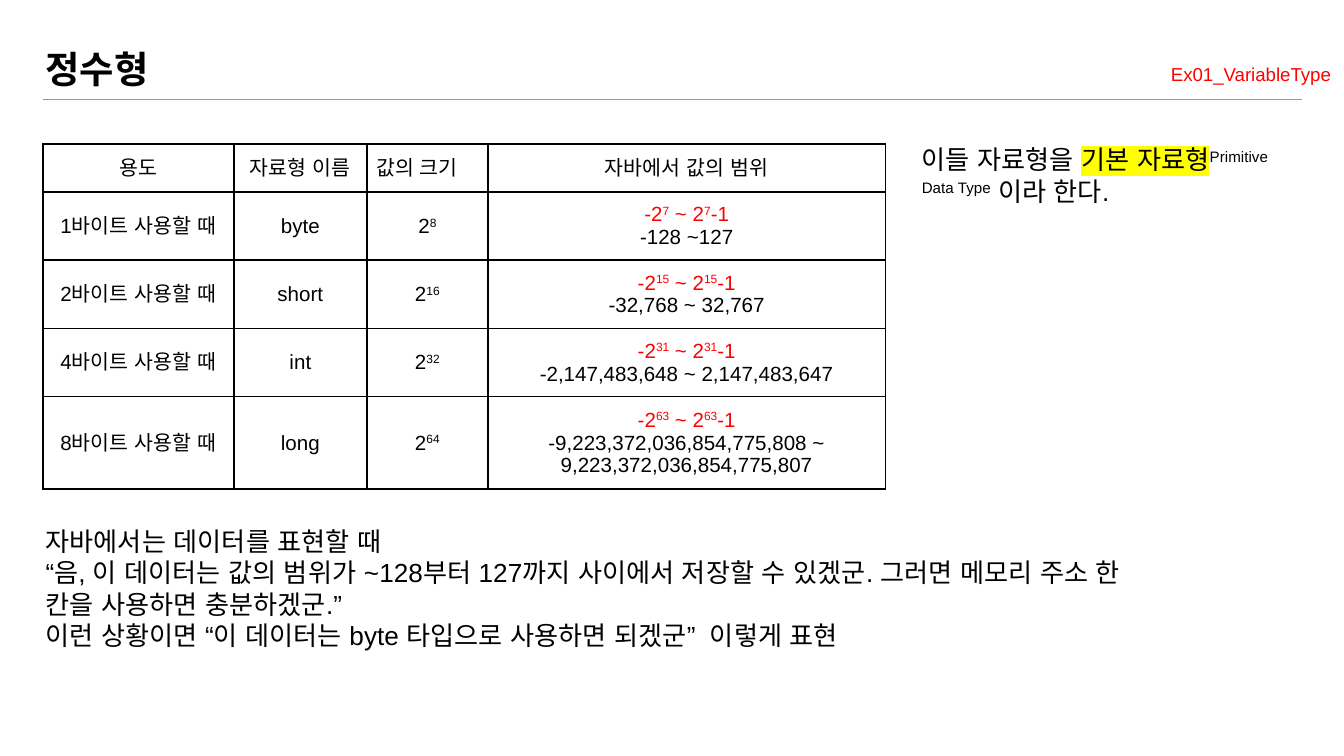
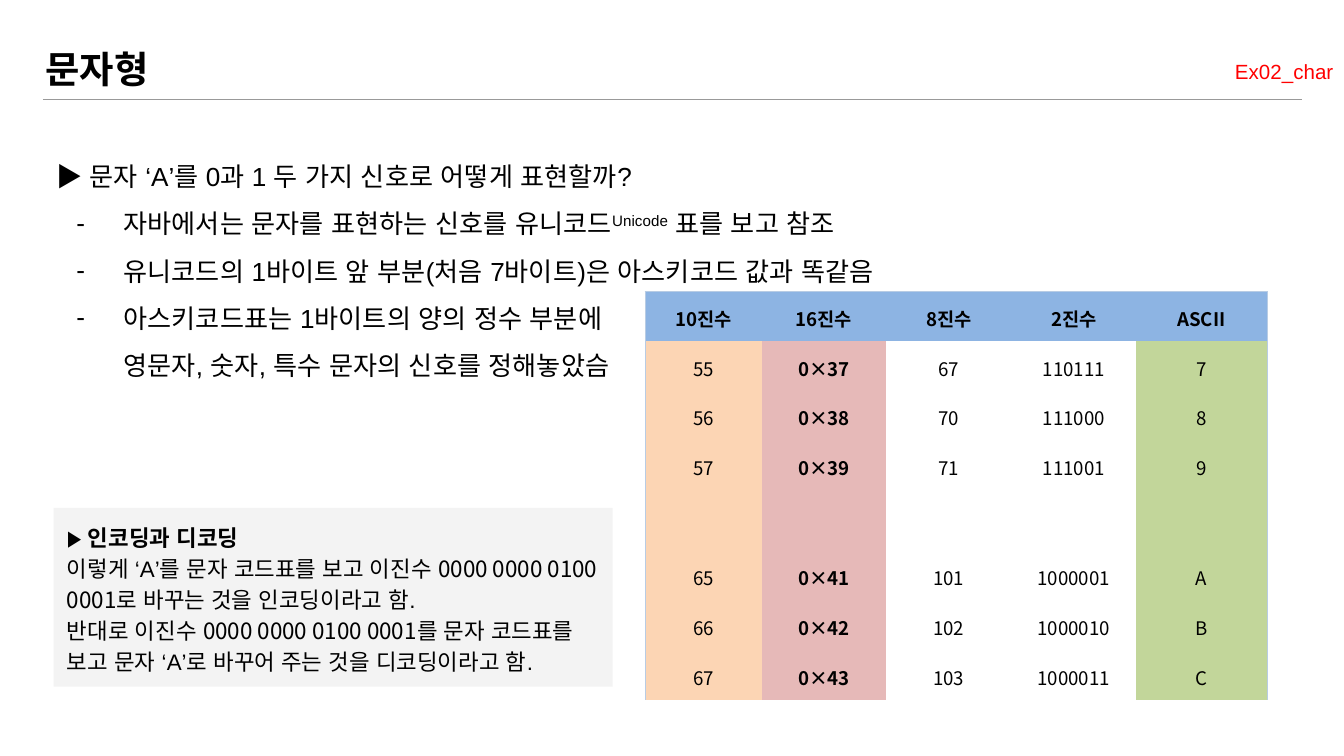
from dataclasses import dataclass, field
from typing import NamedTuple

from lxml.etree import SubElement
from pptx import Presentation
from pptx.dml.color import RGBColor
from pptx.enum.shapes import MSO_CONNECTOR as Conn, MSO_SHAPE as Shape
from pptx.enum.text import MSO_ANCHOR as Anchor, PP_ALIGN as Align
from pptx.oxml.ns import qn
from pptx.util import Inches, Pt

BLACK = RGBColor(0x00, 0x00, 0x00)
WHITE = RGBColor(0xFF, 0xFF, 0xFF)
RED = RGBColor(0xFF, 0x00, 0x00)
YELLOW = RGBColor(0xFF, 0xFF, 0x00)
RULE_GRAY = RGBColor(0x99, 0x99, 0x99)
PANEL_GRAY = RGBColor(0xF3, 0xF3, 0xF3)
HEADER_BLUE = RGBColor(0x8D, 0xB4, 0xE3)
BORDER_BLUE = RGBColor(0xB8, 0xCC, 0xE4)
PEACH = RGBColor(0xFC, 0xD5, 0xB4)
PINK = RGBColor(0xE6, 0xB9, 0xB8)
GREEN = RGBColor(0xC2, 0xD6, 0x9A)
SANS = "Arial"
KOREAN = "Noto Sans CJK KR"
TABLE_FRAME = Inches(3.28)


class Box(NamedTuple):
    left: float
    top: float
    width: float
    height: float

    def emu(self):
        return [Inches(v) for v in self]


class Run(NamedTuple):
    text: str
    font: str | None = None
    bold: bool = False
    sup: bool = False
    highlight: RGBColor | None = None


@dataclass
class Para:
    runs: list[Run]
    color: RGBColor = BLACK
    margin: float = 0
    hanging: float = 0
    bullet: str = ""


@dataclass
class Cell:
    paras: list[Para]
    align: Align = Align.CENTER
    anchor: Anchor = Anchor.TOP
    fill: RGBColor | None = None
    borders: dict[str, tuple[RGBColor, float, bool]] = field(default_factory=dict)


def para(*runs: str | Run, **kwargs) -> Para:
    return Para([Run(r) if isinstance(r, str) else r for r in runs], **kwargs)


def sup(text: str) -> Run:
    return Run(text, sup=True)


def color_fill(parent, color: RGBColor, visible: bool = True) -> None:
    clr = SubElement(SubElement(parent, qn("a:solidFill")), qn("a:srgbClr"), val=str(color))
    if not visible:
        SubElement(clr, qn("a:alpha"), val="0")


def add_run(p, run: Run, size: float, font: str, color: RGBColor) -> None:
    r = p.add_run()
    r.text = run.text
    r.font.size = Pt(size)
    r.font.bold = run.bold
    r.font.color.rgb = color
    r.font.name = run.font or font
    rpr = r.font._element
    rpr.set("lang", "ko")
    SubElement(rpr, qn("a:ea"), typeface=run.font or font)
    if run.sup:
        rpr.set("baseline", "30000")
    if run.highlight is not None:
        mark = SubElement(rpr, qn("a:highlight"))
        SubElement(mark, qn("a:srgbClr"), val=str(run.highlight))
        rpr.find(qn("a:solidFill")).addnext(mark)


def write_text(tf, paras: list[Para], *, size: float, font: str = SANS,
               align: Align = Align.LEFT, spacing: float = 1.0) -> None:
    for i, para_ in enumerate(paras):
        p = tf.add_paragraph() if i else tf.paragraphs[0]
        p.alignment = align
        p.line_spacing = spacing
        ppr = p._p.get_or_add_pPr()
        if para_.margin:
            ppr.set("marL", str(Inches(para_.margin)))
            ppr.set("indent", str(-Inches(para_.hanging)))
        if para_.bullet:
            clr = SubElement(ppr, qn("a:buClr"))
            SubElement(clr, qn("a:srgbClr"), val=str(BLACK))
            SubElement(ppr, qn("a:buFont"), typeface=SANS)
            SubElement(ppr, qn("a:buChar"), char=para_.bullet)
        for run in para_.runs:
            add_run(p, run, size, font, para_.color)


def add_text(slide, box: Box, paras: list[Para], *, fill: RGBColor | None = None,
             anchor: Anchor = Anchor.TOP, **fmt) -> None:
    if fill is None:
        sp = slide.shapes.add_textbox(*box.emu())
    else:
        sp = slide.shapes.add_shape(Shape.RECTANGLE, *box.emu())
        sp.shadow.inherit = False
        sp.fill.solid()
        sp.fill.fore_color.rgb = fill
        sp.line.fill.background()
    tf = sp.text_frame
    tf.word_wrap = True
    tf.vertical_anchor = anchor
    tf.margin_left = tf.margin_right = tf.margin_top = tf.margin_bottom = Inches(0.1)
    write_text(tf, paras, **fmt)


def add_table(slide, left: float, top: float, widths: list[float], heights: list[float],
              grid: list[list[Cell]], **fmt) -> None:
    """Add a table whose rows grow from the given heights to fit their text."""
    frame = slide.shapes.add_table(len(heights), len(widths), Inches(left), Inches(top),
                                   TABLE_FRAME, TABLE_FRAME)
    table = frame.table
    table.first_row = table.horz_banding = False
    for col, width in zip(table.columns, widths):
        col.width = Inches(width)
    for row, height, specs in zip(table.rows, heights, grid):
        row.height = Inches(height)
        for cell, spec in zip(row.cells, specs):
            cell.vertical_anchor = spec.anchor
            cell.margin_left = cell.margin_right = Inches(0.07)
            cell.margin_top = cell.margin_bottom = Inches(0.07)
            tcpr = cell._tc.get_or_add_tcPr()
            for side in "LRTB":
                color, width, visible = spec.borders[side]
                ln = SubElement(tcpr, qn(f"a:ln{side}"), w=str(Pt(width)))
                color_fill(ln, color, visible)
            if spec.fill is None:
                cell.fill.background()
            else:
                cell.fill.solid()
                cell.fill.fore_color.rgb = spec.fill
            write_text(cell.text_frame, spec.paras, align=spec.align, **fmt)
    frame.width = frame.height = TABLE_FRAME


def new_slide(prs, title: str):
    """Add a slide with its title and the rule under it."""
    s = prs.slides.add_slide(prs.slide_layouts[6])
    add_text(s, Box(0.24, 0.24, 8.22, 0.54), [para(Run(title, bold=True))],
             size=20, font=KOREAN, anchor=Anchor.MIDDLE)
    line = s.shapes.add_connector(Conn.STRAIGHT, Inches(0.32), Inches(0.74),
                                  Inches(9.69), Inches(0.74))
    line.line.color.rgb = RULE_GRAY
    line.line.width = Pt(0.75)
    SubElement(line._element.spPr, qn("a:effectLst"))
    return s


def add_example_name(slide, box: Box, name: str, size: float) -> None:
    add_text(slide, box, [para(name, color=RED)], size=size, align=Align.RIGHT, spacing=1.15)


def integer_grid() -> list[list[Cell]]:
    borders = {side: (BLACK, 1, True) for side in "LRTB"}
    headers = ["용도", "자료형 이름", "값의 크기", "자바에서 값의 범위"]
    grid = [[Cell([para(h)], anchor=Anchor.MIDDLE, borders=borders) for h in headers]]
    grid[0][2].align = Align.LEFT
    ranges = {
        1: ("byte", "-128 ~127"),
        2: ("short", "-32,768 ~ 32,767"),
        4: ("int", "-2,147,483,648 ~ 2,147,483,647"),
        8: ("long", "-9,223,372,036,854,775,808 ~ 9,223,372,036,854,775,807"),
    }
    for size, (name, limits) in ranges.items():
        bits = size * 8
        power = sup(str(bits - 1))
        contents = [
            [para(f"{size}바이트 사용할 때")],
            [para(name)],
            [para("2", sup(str(bits)))],
            [para("-2", power, " ~ 2", power, "-1", color=RED), para(limits)],
        ]
        grid.append([Cell(c, anchor=Anchor.MIDDLE, borders=borders) for c in contents])
    return grid


def ascii_grid() -> list[list[Cell]]:
    headers = ["10진수", "16진수", "8진수", "2진수", "ASCII"]
    fills = [PEACH, PINK, WHITE, WHITE, GREEN]
    rows = [headers]
    for code in [55, 56, 57, None, 65, 66, 67]:
        rows.append([""] * len(headers) if code is None else
                    [str(code), f"0×{code:X}", f"{code:o}", f"{code:b}", chr(code)])
    inner, outer = (BORDER_BLUE, 0.75, False), (BORDER_BLUE, 0.68, True)
    grid = []
    for i, row in enumerate(rows):
        cells = []
        for j, text in enumerate(row):
            borders = {"L": outer if j == 0 else inner,
                       "R": outer if j == len(row) - 1 else inner,
                       "T": outer if i == 0 else inner, "B": inner}
            runs = [Run(text, bold=i == 0 or j == 1)] if text else []
            cells.append(Cell([para(*runs)], fill=fills[j] if i else HEADER_BLUE,
                              borders=borders))
        grid.append(cells)
    return grid


def build_integer_slide(prs) -> None:
    s = new_slide(prs, "정수형")
    add_table(s, 0.32, 1.07, [1.42, 0.99, 0.9, 2.96], [0.36] + [0.01] * 4,
              integer_grid(), size=11)
    add_text(s, Box(0.24, 3.81, 8.28, 1.14), [
        para("자바에서는 데이터를 표현할 때"),
        para("“음, 이 데이터는 값의 범위가 ~128부터 127까지 사이에서 저장할 수 있겠군. "
             "그러면 메모리 주소 한 칸을 사용하면 충분하겠군.”"),
        para("이런 상황이면 “이 데이터는 byte 타입으로 사용하면 되겠군”  이렇게 표현"),
    ], size=14)
    add_text(s, Box(6.76, 0.97, 2.92, 0.84), [
        para("이들 자료형을 ", Run("기본 자료형", highlight=YELLOW),
             sup("Primitive Data Type"), " 이라 한다."),
    ], size=14)
    add_example_name(s, Box(8.03, 0.35, 1.97, 0.37), "Ex01_VariableType", 10)


def build_character_slide(prs) -> None:
    s = new_slide(prs, "문자형")
    dash = dict(margin=0.5, hanging=0.35, bullet="-")
    add_text(s, Box(0.32, 0.98, 7.5, 1.85), [
        para("▶ 문자 ‘A’를 0과 1 두 가지 신호로 어떻게 표현할까?"),
        para("자바에서는 문자를 표현하는 신호를 유니코드", sup("Unicode"),
             " 표를 보고 참조", **dash),
        para("유니코드의 1바이트 앞 부분(처음 7바이트)은 아스키코드 값과 똑같음", **dash),
        para("아스키코드표는 1바이트의 양의 정수 부분에", **dash),
        para("영문자, 숫자, 특수 문자의 신호를 정해놓았슴", margin=0.5),
    ], size=14, spacing=1.5)
    add_table(s, 4.8, 2.17, [0.87, 0.92, 0.94, 0.92, 0.98], [0.37] * 4 + [0.45] + [0.37] * 3,
              ascii_grid(), size=10, font=KOREAN, spacing=1.15)
    bits = Run("0000 0000 0100 0001", font=KOREAN)
    add_text(s, Box(0.4, 3.78, 4.16, 1.33), [
        para("▶ ", Run("인코딩과 디코딩", bold=True)),
        para("이렇게 ‘A’를 문자 코드표를 보고 이진수 ", bits, "로 바꾸는 것을 인코딩이라고 함."),
        para("반대로 이진수 ", bits,
             "를 문자 코드표를 보고 문자 ‘A’로 바꾸어 주는 것을 디코딩이라고 함."),
    ], size=12, spacing=1.15, fill=PANEL_GRAY, anchor=Anchor.MIDDLE)
    add_example_name(s, Box(6.74, 0.31, 3.28, 0.39), "Ex02_char", 11)


def main() -> None:
    prs = Presentation()
    prs.slide_width = Inches(10)
    prs.slide_height = prs.slide_width * 9 // 16
    build_integer_slide(prs)
    build_character_slide(prs)
    prs.save("out.pptx")


if __name__ == "__main__":
    main()
